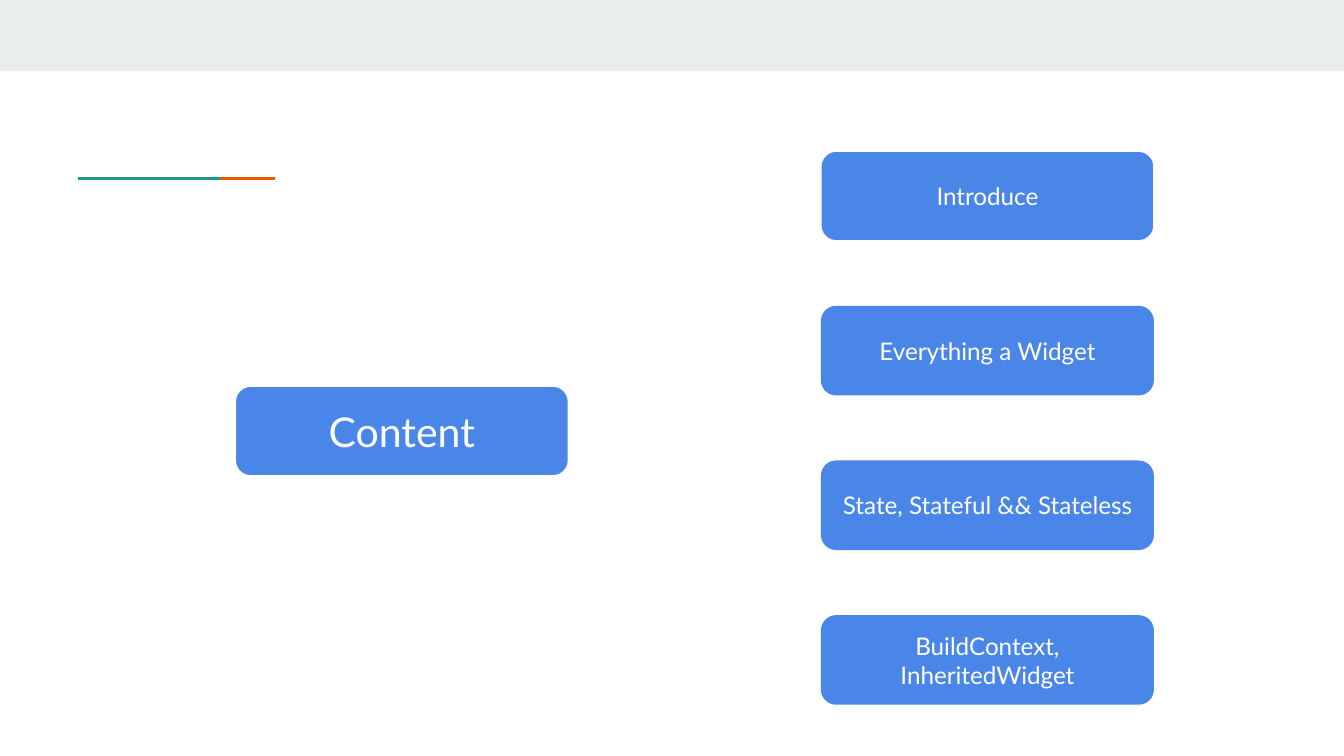
from pptx import Presentation
from pptx.dml.color import RGBColor
from pptx.enum.shapes import MSO_SHAPE
from pptx.enum.text import MSO_ANCHOR, PP_ALIGN
from pptx.util import Pt

WHITE = RGBColor(0xFF, 0xFF, 0xFF)
BLUE = RGBColor(0x4A, 0x86, 0xE8)
GREY = RGBColor(0xE9, 0xED, 0xEE)
ORANGE = RGBColor(0xEB, 0x56, 0x00)
TEAL = RGBColor(0x1A, 0x99, 0x88)

HEADING = "Content"
TOPICS = [
    ("Introduce", True),
    ("Everything a Widget", False),
    ("State, Stateful && Stateless", False),
    ("BuildContext, InheritedWidget", False),
]

SLIDE_W, SLIDE_H = 720, 405
BAND_H = 38.2
RULE_Y, RULE_W, RULE_H = 94.9, 76.2, 1.5
BOX_W, BOX_H = 178.4, 48
TOPIC_X, TOPIC_Y, TOPIC_PITCH = 439.8, 81, 82.85
HEADING_X, HEADING_Y = 126.1, 206.9


def add_block(s, kind, x, y, w, h, fill):
    sp = s.shapes.add_shape(kind, Pt(x), Pt(y), Pt(w), Pt(h))
    sp.shadow.inherit = False
    sp.fill.solid()
    sp.fill.fore_color.rgb = fill
    sp.line.fill.background()
    return sp


def add_box(s, label, x, y, size, outlined):
    sp = add_block(s, MSO_SHAPE.ROUNDED_RECTANGLE, x, y, BOX_W, BOX_H, BLUE)
    sp.adjustments[0] = 0.17
    if outlined:
        sp.line.color.rgb = WHITE
        sp.line.width = Pt(0.75)
    tf = sp.text_frame
    tf.text = label
    tf.word_wrap = True
    tf.vertical_anchor = MSO_ANCHOR.MIDDLE
    tf.margin_left = tf.margin_right = tf.margin_top = tf.margin_bottom = Pt(7.2)
    p = tf.paragraphs[0]
    p.alignment = PP_ALIGN.CENTER
    r = p.runs[0]
    r.font.name = "Lato"
    r.font.size = Pt(size)
    r.font.color.rgb = WHITE


def main():
    prs = Presentation()
    prs.slide_width, prs.slide_height = Pt(SLIDE_W), Pt(SLIDE_H)
    s = prs.slides.add_slide(prs.slide_layouts[6])

    add_block(s, MSO_SHAPE.RECTANGLE, 0, 0, SLIDE_W, BAND_H, GREY)
    for x, color in [(71.2, ORANGE), (41.8, TEAL)]:
        add_block(s, MSO_SHAPE.RECTANGLE, x, RULE_Y, RULE_W, RULE_H, color)

    for i, (label, outlined) in enumerate(TOPICS):
        add_box(s, label, TOPIC_X, TOPIC_Y + i * TOPIC_PITCH, 13, outlined)
    add_box(s, HEADING, HEADING_X, HEADING_Y, 22, True)

    prs.save("out.pptx")


if __name__ == "__main__":
    main()
